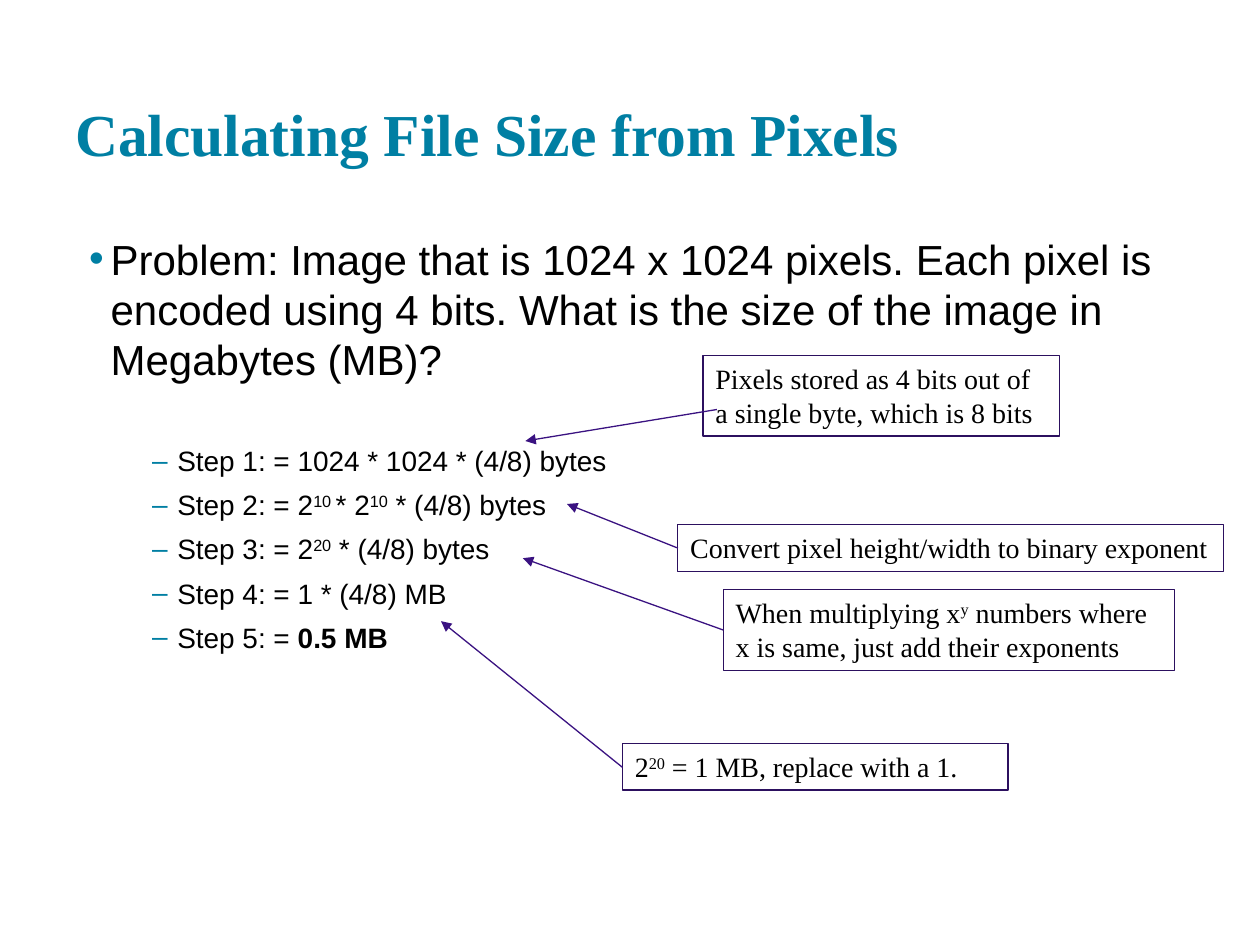
from dataclasses import dataclass

from lxml import etree
from pptx import Presentation
from pptx.dml.color import RGBColor
from pptx.enum.shapes import MSO_CONNECTOR, MSO_SHAPE
from pptx.enum.text import MSO_ANCHOR, PP_ALIGN
from pptx.oxml.ns import qn
from pptx.util import Inches, Pt

RECTANGLE = MSO_SHAPE.RECTANGLE
STRAIGHT = MSO_CONNECTOR.STRAIGHT
TOP, BOTTOM = MSO_ANCHOR.TOP, MSO_ANCHOR.BOTTOM
LEFT = PP_ALIGN.LEFT

TEAL = RGBColor(0x00, 0x7F, 0xA3)
BLACK = RGBColor(0x00, 0x00, 0x00)
BOX_LINE = RGBColor(0x2C, 0x10, 0x5F)
ARROW_LINE = RGBColor(0x3A, 0x12, 0x81)

SERIF, SANS = "Times New Roman", "Arial"
LINE_WIDTH = Pt(0.75)
SUPERSCRIPT = "30000"

# Square grid: 100 columns by 75 rows
COLUMNS, ROWS = 100, 75
CELL = Inches(0.1)


@dataclass(frozen=True)
class Run:
    text: str
    raised: bool = False
    bold: bool = False


@dataclass(frozen=True)
class Area:
    column: float
    row: float
    columns: float
    rows: float


@dataclass(frozen=True)
class Bullet:
    mark: str
    margin: float
    hanging: float
    level: int = 0


@dataclass(frozen=True)
class Note:
    area: Area
    runs: tuple[Run, ...]
    arrow_start: tuple[float, float]
    arrow_end: tuple[float, float]


PROBLEM_BULLET = Bullet("•", 0.28, 0.17)
STEP_BULLET = Bullet("–", 0.81, 0.2, level=1)

PROBLEM = (Run("Problem: Image that is 1024 x 1024 pixels. Each pixel is encoded "
               "using 4 bits. What is the size of the image in Megabytes (MB)?"),)

STEPS = (
    (Run("Step 1: = 1024 * 1024 * (4/8) bytes"),),
    (Run("Step 2: = 2"), Run("10 ", raised=True), Run("* 2"),
     Run("10", raised=True), Run(" * (4/8) bytes")),
    (Run("Step 3: = 2"), Run("20", raised=True), Run(" * (4/8) bytes")),
    (Run("Step 4: = 1 * (4/8) MB"),),
    (Run("Step 5: = "), Run("0.5 MB", bold=True)),
)

NOTES = (
    Note(Area(55.8, 28.2, 28.3, 6.4),
         (Run("Pixels stored as 4 bits out of a single byte, which is 8 bits"),),
         (56.9, 32.5), (41.7, 35)),
    Note(Area(53.8, 41.65, 43.3, 3.7),
         (Run("Convert pixel height/width to binary exponent"),),
         (53.8, 43.5), (45, 40)),
    Note(Area(57.4, 46.8, 35.8, 6.4),
         (Run("When multiplying x"), Run("y", raised=True),
          Run(" numbers where x is same, just add their exponents")),
         (57.4, 50), (41.5, 44.3)),
    Note(Area(49.4, 59, 30.6, 3.7),
         (Run("2"), Run("20", raised=True), Run(" = 1 MB, replace with a 1.")),
         (49.4, 60.9), (35, 49.3)),
)


def grid(*counts: float) -> list[int]:
    """Turn counts of grid cells into lengths."""
    return [round(count * CELL) for count in counts]


def place(area: Area) -> list[int]:
    return grid(area.column, area.row, area.columns, area.rows)


def add_bullet(paragraph, bullet: Bullet) -> None:
    paragraph.level = bullet.level
    properties = paragraph._p.get_or_add_pPr()
    properties.set("marL", str(Inches(bullet.margin)))
    properties.set("indent", str(-Inches(bullet.hanging)))
    color = etree.SubElement(properties, qn("a:buClr"))
    etree.SubElement(color, qn("a:srgbClr")).set("val", str(TEAL))
    etree.SubElement(properties, qn("a:buFont")).set("typeface", SANS)
    etree.SubElement(properties, qn("a:buChar")).set("char", bullet.mark)


def write(paragraph, runs: tuple[Run, ...], *, size: float, font: str,
          color: RGBColor = BLACK, bullet: Bullet | None = None,
          space_before: float = 0) -> None:
    """Fill a paragraph with formatted runs."""
    if bullet:
        add_bullet(paragraph, bullet)
    paragraph.alignment = LEFT
    paragraph.space_before = Pt(space_before)
    for item in runs:
        run = paragraph.add_run()
        run.text = item.text
        run.font.name = font
        run.font.size = Pt(size)
        run.font.bold = item.bold
        run.font.color.rgb = color
        if item.raised:
            run._r.get_or_add_rPr().set("baseline", SUPERSCRIPT)


def add_text_area(slide, area: Area, anchor: MSO_ANCHOR):
    frame = slide.shapes.add_textbox(*place(area)).text_frame
    frame.word_wrap = True
    frame.vertical_anchor = anchor
    frame.margin_top = frame.margin_bottom = CELL
    frame.margin_left = frame.margin_right = CELL
    return frame


def add_note_box(slide, note: Note) -> None:
    box = slide.shapes.add_shape(RECTANGLE, *place(note.area))
    box.shadow.inherit = False
    box.fill.background()
    box.line.color.rgb = BOX_LINE
    box.line.width = LINE_WIDTH
    box.text_frame.word_wrap = True
    box.text_frame.vertical_anchor = TOP
    write(box.text_frame.paragraphs[0], note.runs, size=16, font=SERIF)


def add_arrow(slide, note: Note) -> None:
    arrow = slide.shapes.add_connector(
        STRAIGHT, *grid(*note.arrow_start, *note.arrow_end))
    arrow.line.color.rgb = ARROW_LINE
    arrow.line.width = LINE_WIDTH
    etree.SubElement(arrow.line._get_or_add_ln(), qn("a:tailEnd")).set("type", "triangle")
    etree.SubElement(arrow._element.spPr, qn("a:effectLst"))


def main() -> None:
    presentation = Presentation()
    presentation.slide_width, presentation.slide_height = grid(COLUMNS, ROWS)
    slide = presentation.slides.add_slide(presentation.slide_layouts[6])

    # Title
    title = add_text_area(slide, Area(5, 2.4, 90, 12), BOTTOM)
    write(title.paragraphs[0], (Run("Calculating File Size from Pixels", bold=True),),
          size=34, font=SERIF, color=TEAL)

    # Problem and its steps, with a wide gap before the first step
    body = add_text_area(slide, Area(5, 17.5, 90, 49.5), TOP)
    write(body.paragraphs[0], PROBLEM, size=24, font=SANS, bullet=PROBLEM_BULLET)
    for number, step in enumerate(STEPS):
        write(body.add_paragraph(), step, size=16, font=SANS, bullet=STEP_BULLET,
              space_before=6 if number else 34)

    # Explanations, with arrows on top
    for note in NOTES:
        add_note_box(slide, note)
    for note in NOTES:
        add_arrow(slide, note)

    presentation.save("out.pptx")


if __name__ == "__main__":
    main()
